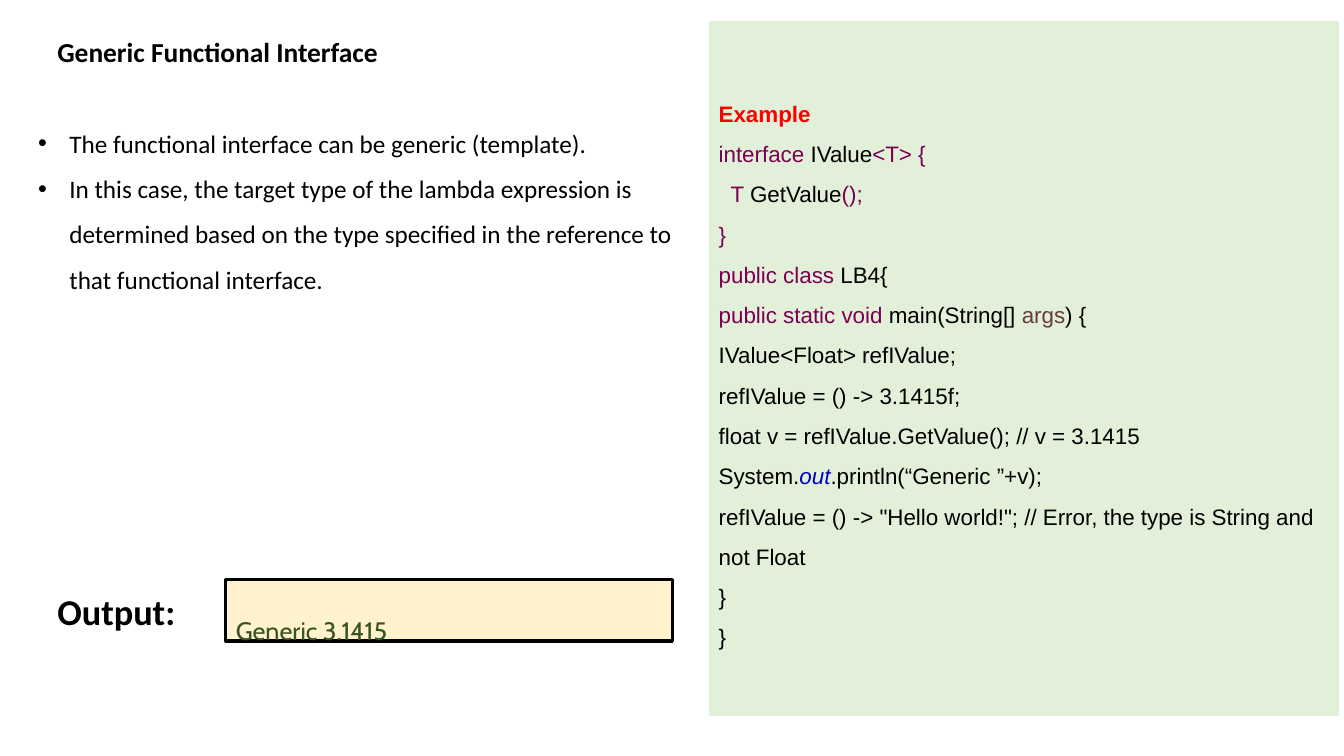
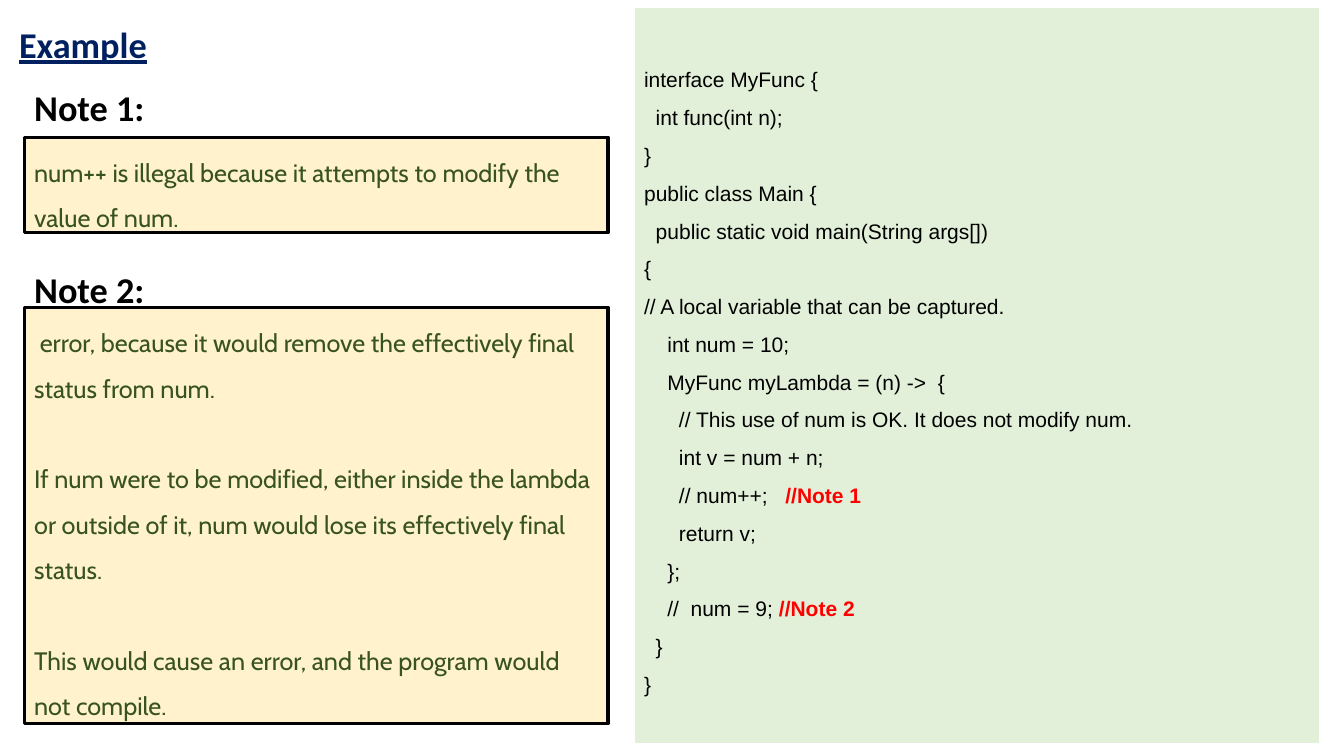
from lxml import etree
from pptx import Presentation
from pptx.dml.color import RGBColor
from pptx.enum.shapes import MSO_SHAPE
from pptx.enum.text import MSO_ANCHOR, PP_ALIGN
from pptx.oxml.ns import qn
from pptx.util import Inches, Pt

RECTANGLE = MSO_SHAPE.RECTANGLE
TOP, MIDDLE = MSO_ANCHOR.TOP, MSO_ANCHOR.MIDDLE
LEFT = PP_ALIGN.LEFT

COLORS = {
    "white": "FFFFFF",
    "black": "000000",
    "navy": "002060",
    "red": "FF0000",
    "keyword": "7C0052",
    "argument": "6A3B3B",
    "field": "0000C0",
    "note": "385320",
    "code fill": "E2F0D9",
    "note fill": "FFF2CC",
}

CODE_STYLES = {
    "plain": {"color": "black"},
    "keyword": {"color": "keyword"},
    "argument": {"color": "argument"},
    "field": {"color": "field", "italic": True},
    "marker": {"color": "red", "bold": True},
}

BULLETS = [
    "The functional interface can be generic (template).",
    "In this case, the target type of the lambda expression is determined based on "
    "the type specified in the reference to that functional interface.",
]

GENERIC_CODE = [
    [("Example", "marker")],
    [("interface ", "keyword"), ("IValue", "plain"), ("<T> {", "keyword")],
    [("  T ", "keyword"), ("GetValue", "plain"), ("();", "keyword")],
    [("}", "keyword")],
    [("public class ", "keyword"), ("LB4{", "plain")],
    [("public static void ", "keyword"), ("main(String[] ", "plain"),
     ("args", "argument"), (") {", "plain")],
    "IValue<Float> refIValue;",
    "refIValue = () -> 3.1415f;",
    "float v = refIValue.GetValue(); // v = 3.1415",
    [("System.", "plain"), ("out", "field"), (".println(“Generic ”+v);", "plain")],
    'refIValue = () -> "Hello world!"; // Error, the type is String and not Float',
    "}",
    "}",
]

CAPTURE_CODE = [
    "interface MyFunc {",
    "  int func(int n);",
    "}",
    "public class Main {",
    "  public static void main(String args[])",
    "{",
    "// A local variable that can be captured.",
    "    int num = 10;",
    "    MyFunc myLambda = (n) ->  {",
    "      // This use of num is OK. It does not modify num.",
    "      int v = num + n;",
    [("      // num++;   ", "plain"), ("//Note 1", "marker")],
    "      return v;",
    "    };",
    [("    //  num = 9; ", "plain"), ("//Note 2", "marker")],
    "  }",
    "}",
]

NOTE_1 = ["num++ is illegal because it attempts to modify the value of num."]
NOTE_2 = [
    " error, because it would remove the effectively final status from num.",
    "If num were to be modified, either inside the lambda or outside of it, "
    "num would lose its effectively final status.",
    "This would cause an error, and the program would not compile.",
]

HEADING_WIDTH, HEADING_HEIGHT = 3.68, 0.74
NOTE_LEFT, NOTE_WIDTH = 0.24, 5.79
BULLET_INDENT = 0.31
NOTE_GAP = 32.5


def rgb(name):
    return RGBColor.from_string(COLORS[name])


def add_span(para, text, font, size, color, bold=False, italic=False, underline=False):
    span = para.add_run()
    span.text = text
    span.font.name = font
    span.font.size = Pt(size)
    span.font.color.rgb = rgb(color)
    span.font.bold = bold
    span.font.italic = italic
    span.font.underline = underline


def add_paragraphs(frame, count, spacing):
    frame.word_wrap = True
    for index in range(count):
        para = frame.add_paragraph() if index else frame.paragraphs[0]
        para.alignment = LEFT
        para.line_spacing = spacing
        yield index, para


def add_text_box(page, left, top, width, height):
    box = page.shapes.add_textbox(Inches(left), Inches(top), Inches(width), Inches(height))
    return box.text_frame


def add_panel(page, left, top, width, height, fill, line, line_width, anchor):
    panel = page.shapes.add_shape(
        RECTANGLE, Inches(left), Inches(top), Inches(width), Inches(height))
    panel.shadow.inherit = False
    panel.fill.solid()
    panel.fill.fore_color.rgb = rgb(fill)
    panel.line.color.rgb = rgb(line)
    panel.line.width = Pt(line_width)
    panel.text_frame.vertical_anchor = anchor
    return panel.text_frame


def add_heading(page, text, left, top, size=25.9, spacing=1.4, color="black", underline=False):
    frame = add_text_box(page, left, top, HEADING_WIDTH, HEADING_HEIGHT)
    for _, para in add_paragraphs(frame, 1, spacing):
        add_span(para, text, "Calibri", size, color, bold=True, underline=underline)


def add_code(page, lines, left, top, width, height, size):
    frame = add_panel(page, left, top, width, height, "code fill", "white", 1, MIDDLE)
    for index, para in add_paragraphs(frame, len(lines), 1.5):
        line = lines[index]
        parts = [(line, "plain")] if isinstance(line, str) else line
        for text, style in parts:
            add_span(para, text, "Arial", size, **CODE_STYLES[style])


def add_note(page, lines, top, height, left=NOTE_LEFT, width=NOTE_WIDTH, spacing=1.5):
    frame = add_panel(page, left, top, width, height, "note fill", "black", 2.25, TOP)
    for index, para in add_paragraphs(frame, len(lines), spacing):
        if index:
            para.space_before = Pt(NOTE_GAP)
        add_span(para, lines[index], "Cabin", 18, "note")


def add_bullets(page, lines, left, top, width, height):
    frame = add_text_box(page, left, top, width, height)
    for index, para in add_paragraphs(frame, len(lines), 1.5):
        properties = para._p.get_or_add_pPr()
        properties.set("marL", str(Inches(BULLET_INDENT)))
        properties.set("indent", str(-Inches(BULLET_INDENT)))
        etree.SubElement(properties, qn("a:buFont")).set("typeface", "Arial")
        etree.SubElement(properties, qn("a:buChar")).set("char", "•")
        add_span(para, lines[index], "Calibri", 18, "black")


def build_generic_page(page):
    add_heading(page, "Generic Functional Interface", 0.47, 0.2, size=19.6, spacing=1.3)
    add_code(page, GENERIC_CODE, 7.03, 0.2, 6.26, 6.91, 16)
    add_heading(page, "Output:", 0.47, 5.62)
    add_note(page, ["Generic 3.1415"], 5.75, 0.61, left=2.24, width=4.43, spacing=2.0)
    add_bullets(page, BULLETS, 0.28, 1.07, 6.67, 1.87)


def build_capture_page(page):
    add_heading(page, "Example", 0.09, 0, color="navy", underline=True)
    add_heading(page, "Note 1:", NOTE_LEFT, 0.62)
    add_note(page, NOTE_1, 1.36, 0.95)
    add_code(page, CAPTURE_CODE, 6.29, 0.07, 6.8, 7.31, 15)
    add_heading(page, "Note 2:", NOTE_LEFT, 2.43)
    add_note(page, NOTE_2, 3.05, 4.13)


def main():
    deck = Presentation()
    deck.slide_width = Inches(13.33)
    deck.slide_height = Inches(7.5)
    for build_page in (build_generic_page, build_capture_page):
        build_page(deck.slides.add_slide(deck.slide_layouts[6]))
    deck.save("out.pptx")


if __name__ == "__main__":
    main()
